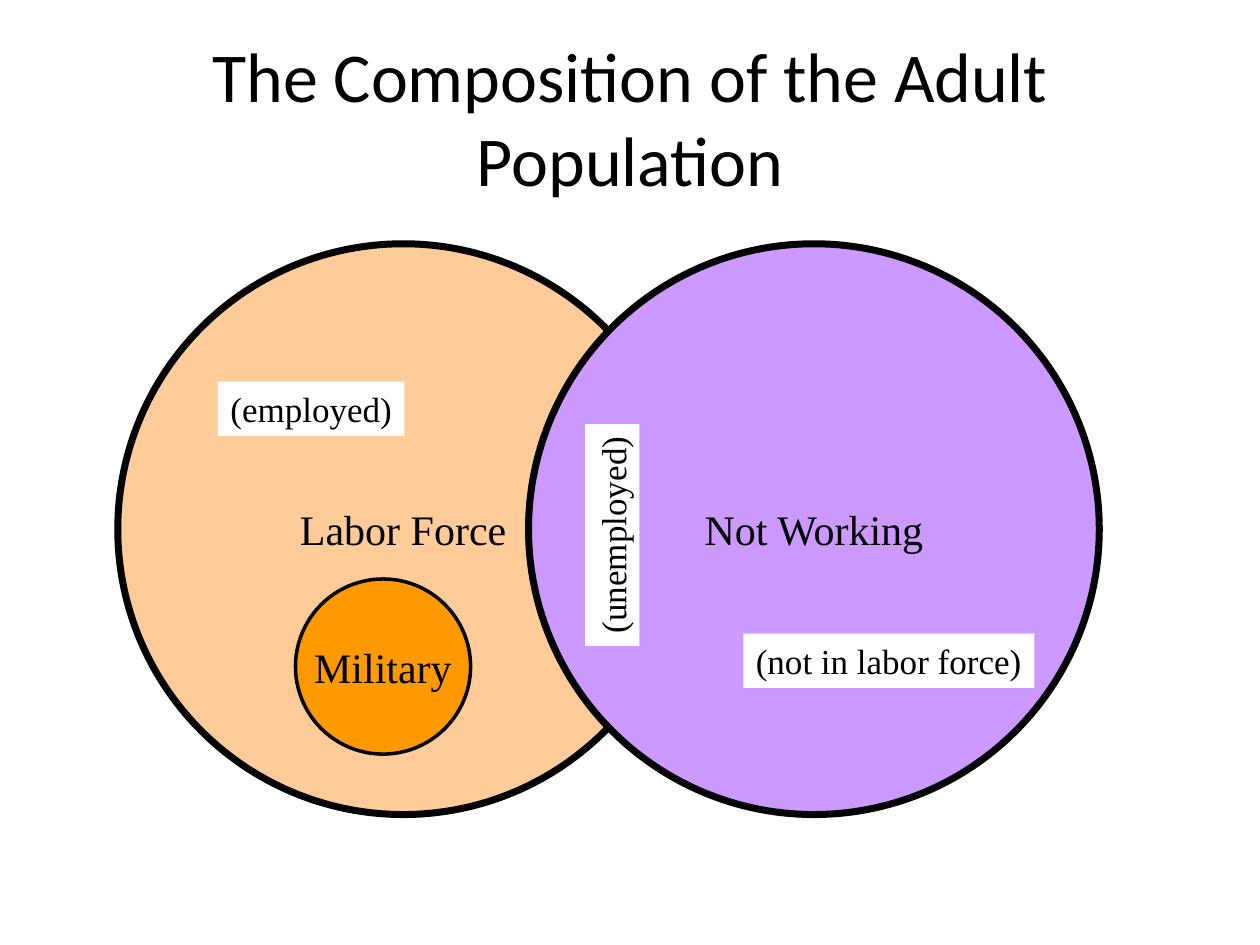
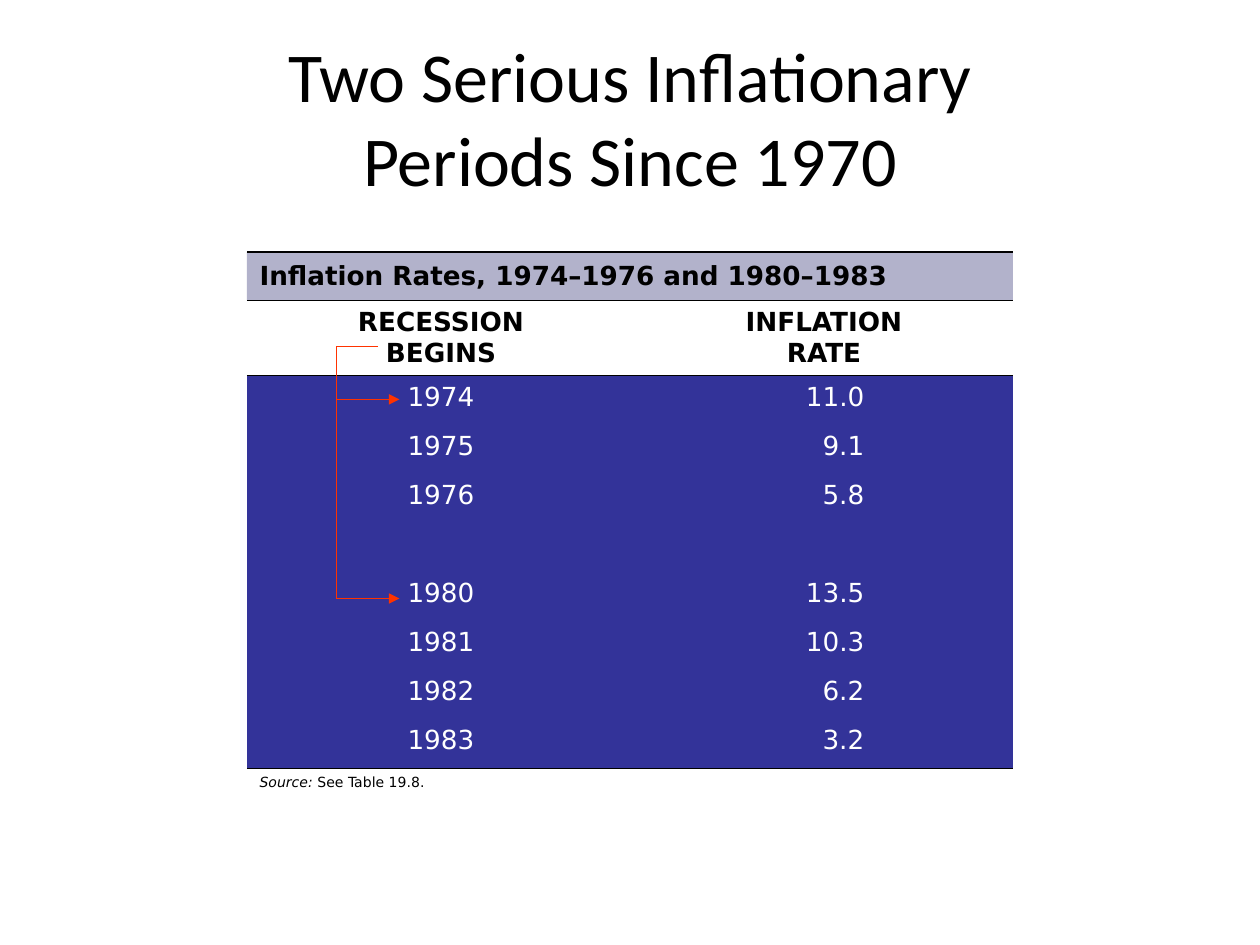
"""Build two economics slides: adult population circles and an inflation table."""
from lxml import etree
from pptx import Presentation
from pptx.dml.color import RGBColor
from pptx.enum.shapes import MSO_CONNECTOR, MSO_SHAPE
from pptx.enum.text import MSO_ANCHOR, MSO_AUTO_SIZE, PP_ALIGN
from pptx.oxml.ns import qn
from pptx.util import Inches, Pt

OVAL, RECTANGLE = MSO_SHAPE.OVAL, MSO_SHAPE.RECTANGLE
STRAIGHT = MSO_CONNECTOR.STRAIGHT
LEFT, CENTER, RIGHT = PP_ALIGN.LEFT, PP_ALIGN.CENTER, PP_ALIGN.RIGHT
TOP, MIDDLE = MSO_ANCHOR.TOP, MSO_ANCHOR.MIDDLE

COLORS = {
    "ink": "000000", "paper": "FFFFFF", "labor": "FFCC99", "idle": "CC99FF",
    "military": "FF9900", "band": "666699", "body": "333399", "arrow": "FF3300",
}
TITLE_FONT, DIAGRAM_FONT, TABLE_FONT = "Calibri", "Times New Roman", "DejaVu Sans"

POPULATION_TITLE = "The Composition of the Adult Population"
CIRCLES = [
    ("Labor Force", "labor", 3.2, 4.2, 4.53, 4),
    ("Not Working", "idle", 6.46, 4.2, 4.53, 4),
    ("Military", "military", 3.04, 5.29, 1.39, 2),
]
LABEL_HEIGHT = 0.43
LABELS = [
    ("(not in labor force)", 5.9, 5.03, 2.31, 0),
    ("(unemployed)", 3.98, 4.03, 1.76, 270),
    ("(employed)", 1.73, 3.03, 1.48, 0),
]

INFLATION_TITLE = "Two Serious Inflationary\vPeriods Since 1970"
TABLE_TITLE = "Inflation Rates, 1974–1976 and 1980–1983"
HEADINGS = ["RECESSION\vBEGINS", "INFLATION\vRATE"]
RATES = [
    ("1974", "11.0"), ("1975", "9.1"), ("1976", "5.8"), ("", ""),
    ("1980", "13.5"), ("1981", "10.3"), ("1982", "6.2"), ("1983", "3.2"),
]
SOURCE = [("Source:", True), (" See Table 19.8.", False)]
TABLE_LEFT, TABLE_TOP = 1.96, 2
COLUMN_WIDTHS = [3.08, 1.92, 1.08]
ROW_HEIGHTS = [0.38, 0.6] + [0.39] * len(RATES) + [0.35]
RULES = {0: 1.08, 1: 0.45, 2: 0.45, len(RATES) + 2: 1.08}

TRUNK_X, HEADING_X, YEAR_X = 2.67, 3, 3.17
HEADING_Y, FIRST_Y, SECOND_Y = 2.75, 3.17, 4.75
ARROW_LINES = [
    (TRUNK_X, SECOND_Y, YEAR_X, SECOND_Y, True),
    (TRUNK_X, SECOND_Y, TRUNK_X, HEADING_Y, False),
    (TRUNK_X, FIRST_Y, YEAR_X, FIRST_Y, True),
    (TRUNK_X, HEADING_Y, HEADING_X, HEADING_Y, False),
]


def color(name):
    return RGBColor.from_string(COLORS[name])


def fill_solid(fill, name):
    fill.solid()
    fill.fore_color.rgb = color(name)


def style(paragraph, font, size, ink="ink", bold=False, alignment=LEFT):
    paragraph.alignment = alignment
    paragraph.font.name = font
    paragraph.font.size = Pt(size)
    paragraph.font.bold = bold
    paragraph.font.color.rgb = color(ink)


def add_titled_slide(presentation, text):
    slide = presentation.slides.add_slide(presentation.slide_layouts[5])
    title = slide.shapes.title
    title.left, title.top, title.width, title.height = map(Inches, (0.5, 0.3, 9, 1.25))
    title.text_frame.text = text
    title.text_frame.vertical_anchor = MIDDLE
    style(title.text_frame.paragraphs[0], TITLE_FONT, 40, alignment=CENTER)
    return slide


def add_filled_shape(slide, kind, box, text, fill, size, alignment):
    shape = slide.shapes.add_shape(kind, *map(Inches, box))
    shape.shadow.inherit = False
    fill_solid(shape.fill, fill)
    shape.line.fill.background()
    shape.text_frame.text = text
    shape.text_frame.word_wrap = False
    style(shape.text_frame.paragraphs[0], DIAGRAM_FONT, size, alignment=alignment)
    return shape


def add_population(slide):
    for text, fill, center_x, center_y, diameter, weight in CIRCLES:
        box = (center_x - diameter / 2, center_y - diameter / 2, diameter, diameter)
        circle = add_filled_shape(slide, OVAL, box, text, fill, 24, CENTER)
        circle.text_frame.vertical_anchor = MIDDLE
        circle.line.color.rgb = color("ink")
        circle.line.width = Pt(weight)
    for text, left, top, width, rotation in LABELS:
        box = (left, top, width, LABEL_HEIGHT)
        label = add_filled_shape(slide, RECTANGLE, box, text, "paper", 20, LEFT)
        label.text_frame.vertical_anchor = TOP
        label.text_frame.auto_size = MSO_AUTO_SIZE.SHAPE_TO_FIT_TEXT
        label.rotation = rotation


def set_borders(cell, row):
    properties = cell._tc.get_or_add_tcPr()
    weights = {"lnL": None, "lnR": None, "lnT": RULES.get(row), "lnB": RULES.get(row + 1)}
    for index, (tag, weight) in enumerate(weights.items()):
        line = etree.Element(qn(f"a:{tag}"))
        if weight:
            line.set("w", str(int(Pt(weight))))
            solid = etree.SubElement(line, qn("a:solidFill"))
            etree.SubElement(solid, qn("a:srgbClr"), val=COLORS["ink"])
        else:
            etree.SubElement(line, qn("a:noFill"))
        properties.insert(index, line)


def fill_row(table, row, fill, texts, alignments, anchor=TOP, size=15, ink="ink", bold=False):
    for column, cell in enumerate(table.rows[row].cells):
        if fill:
            fill_solid(cell.fill, fill)
        else:
            cell.fill.background()
        set_borders(cell, row)
        cell.vertical_anchor = anchor
        if column < len(texts):
            cell.text = texts[column]
        alignment = alignments[column] if column < len(alignments) else LEFT
        style(cell.text_frame.paragraphs[0], TABLE_FONT, size, ink, bold, alignment)


def add_inflation_table(slide):
    frame = slide.shapes.add_table(
        len(ROW_HEIGHTS), len(COLUMN_WIDTHS), Inches(TABLE_LEFT), Inches(TABLE_TOP),
        Inches(sum(COLUMN_WIDTHS)), Inches(sum(ROW_HEIGHTS)))
    table = frame.table
    table.first_row = table.horz_banding = False
    for column, width in zip(table.columns, COLUMN_WIDTHS):
        column.width = Inches(width)
    for row, height in zip(table.rows, ROW_HEIGHTS):
        row.height = Inches(height)

    fill_row(table, 0, "band", [TABLE_TITLE], [LEFT], MIDDLE, bold=True)
    for cell in table.rows[0].cells:
        band = cell._tc.tcPr.find(qn("a:solidFill"))
        etree.SubElement(band[0], qn("a:alpha"), val="50000")
    fill_row(table, 1, "paper", HEADINGS, [CENTER, CENTER], MIDDLE, bold=True)
    for row, rate in enumerate(RATES, start=2):
        fill_row(table, row, "body", rate, [CENTER, RIGHT], ink="paper")
    last = len(ROW_HEIGHTS) - 1
    fill_row(table, last, None, [], [], size=8)
    note = table.cell(last, 0).text_frame.paragraphs[0]
    for text, italic in SOURCE:
        run = note.add_run()
        run.text = text
        run.font.italic = italic
    table.cell(0, 0).merge(table.cell(0, 2))
    table.cell(1, 1).merge(table.cell(1, 2))


def add_arrows(slide):
    group = slide.shapes.add_group_shape()
    for start_x, start_y, end_x, end_y, has_head in ARROW_LINES:
        ends = map(Inches, (start_x, start_y, end_x, end_y))
        connector = group.shapes.add_connector(STRAIGHT, *ends)
        connector.line.color.rgb = color("arrow")
        connector.line.width = Pt(0.75)
        if has_head:
            etree.SubElement(connector.line._get_or_add_ln(), qn("a:tailEnd"), type="triangle")
        etree.SubElement(connector._element.spPr, qn("a:effectLst"))


def main():
    presentation = Presentation()
    presentation.slide_width, presentation.slide_height = Inches(10), Inches(7.5)
    add_population(add_titled_slide(presentation, POPULATION_TITLE))
    inflation = add_titled_slide(presentation, INFLATION_TITLE)
    add_inflation_table(inflation)
    add_arrows(inflation)
    presentation.save("out.pptx")


if __name__ == "__main__":
    main()
